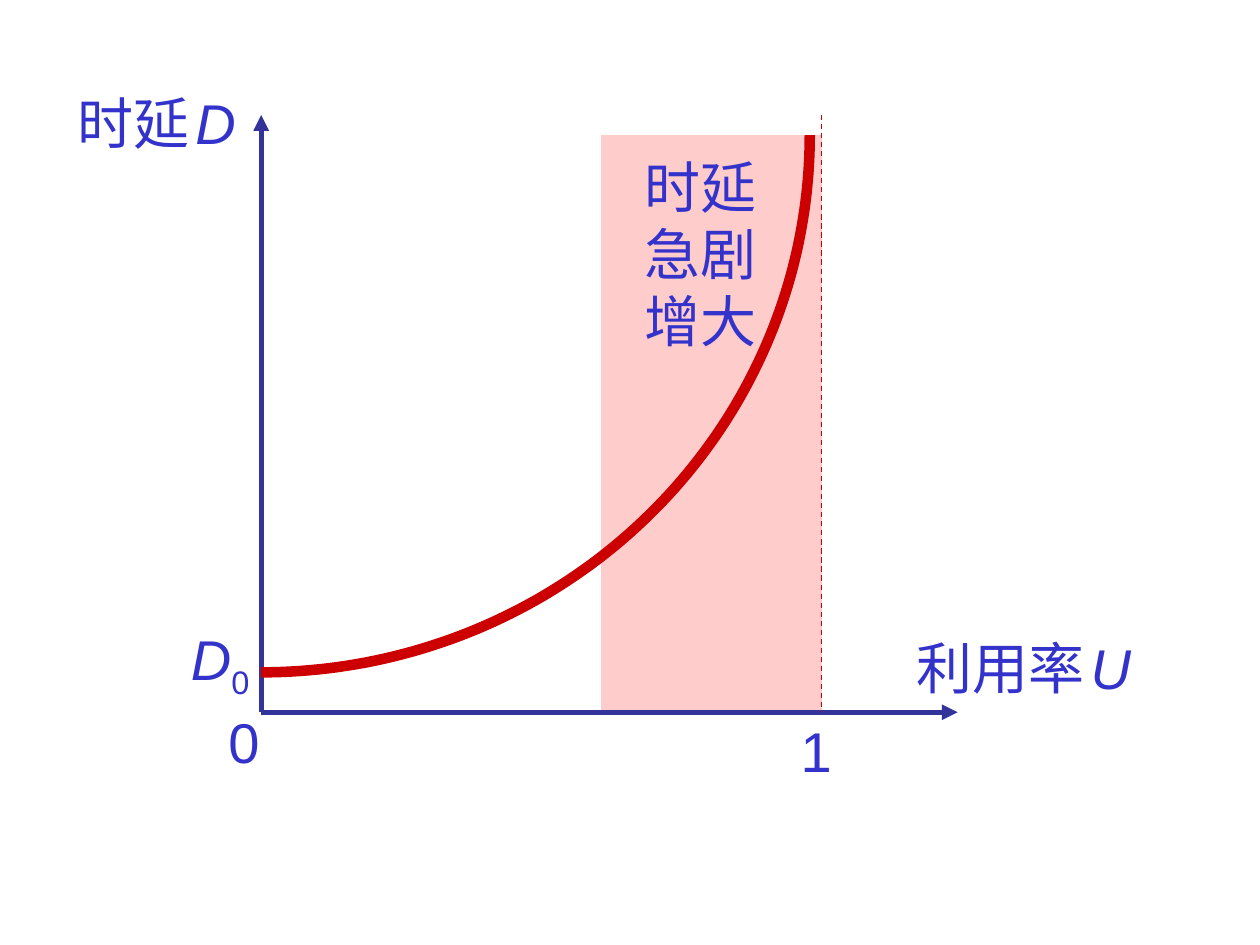
from dataclasses import dataclass
from math import cos, pi, sin

from lxml.etree import SubElement
from pptx import Presentation
from pptx.dml.color import RGBColor
from pptx.enum.dml import MSO_LINE
from pptx.enum.shapes import MSO_CONNECTOR, MSO_SHAPE
from pptx.enum.text import MSO_AUTO_SIZE
from pptx.oxml.ns import qn
from pptx.util import Pt

TEXT_COLOR, AXIS_COLOR, CURVE_COLOR, BAND_COLOR = "3333CC", "333399", "CC0000", "FFCCCC"

# Plot geometry in points
ORIGIN_X, ORIGIN_Y = 149.25, 407
AXIS_TOP, AXIS_RIGHT = 65.75, 547.25
FULL_LOAD_X = 469.6
BAND_LEFT, BAND_TOP = 343.5, 77.25
CURVE_RIGHT, CURVE_BOTTOM = 462.75, 384.25
CURVE_STEPS = 90


@dataclass
class Piece:
    text: str
    size: float = 32
    italic: bool = False
    baseline: int = 0


@dataclass
class Label:
    left: float
    top: float
    width: float
    height: float
    paragraphs: list[list[Piece]]


@dataclass
class Line:
    start: tuple[float, float]
    end: tuple[float, float]
    color: str
    width: float
    arrow: bool = False


LINES = [
    Line((ORIGIN_X, ORIGIN_Y), (ORIGIN_X, AXIS_TOP), AXIS_COLOR, 3, arrow=True),
    Line((ORIGIN_X, ORIGIN_Y), (AXIS_RIGHT, ORIGIN_Y), AXIS_COLOR, 3, arrow=True),
    Line((FULL_LOAD_X, AXIS_TOP), (FULL_LOAD_X, ORIGIN_Y), CURVE_COLOR, 0.74),
]

LABELS = [
    Label(37, 47, 114, 46, [[Piece("时延"), Piece(" ", 16), Piece("D", italic=True)]]),
    Label(516.5, 358.5, 146, 46, [[Piece("利用率"), Piece(" ", 16), Piece("U", italic=True)]]),
    Label(450.5, 406, 33, 46, [[Piece("1")]]),
    Label(123.5, 400.5, 33, 46, [[Piece("0")]]),
    Label(102, 353.5, 54, 51, [[Piece("D", italic=True), Piece("0", baseline=-25000)]]),
    Label(361, 83.5, 80, 122.5, [[Piece(text)] for text in ("时延", "急剧", "增大")]),
]


def rgb(color: str) -> RGBColor:
    return RGBColor.from_string(color)


def add_band(slide) -> None:
    band = slide.shapes.add_shape(
        MSO_SHAPE.RECTANGLE, Pt(BAND_LEFT), Pt(BAND_TOP),
        Pt(FULL_LOAD_X - BAND_LEFT), Pt(ORIGIN_Y - BAND_TOP))
    band.shadow.inherit = False
    band.fill.solid()
    band.fill.fore_color.rgb = rgb(BAND_COLOR)
    band.line.fill.background()


def add_line(slide, line: Line) -> None:
    connector = slide.shapes.add_connector(
        MSO_CONNECTOR.STRAIGHT, *(Pt(value) for value in line.start + line.end))
    connector.line.color.rgb = rgb(line.color)
    connector.line.width = Pt(line.width)
    if line.arrow:
        SubElement(connector.line._get_or_add_ln(), qn("a:tailEnd"), type="triangle")
    else:
        connector.line.dash_style = MSO_LINE.DASH
    SubElement(connector._element.spPr, qn("a:effectLst"))


def add_curve(slide) -> None:
    """Draw a quarter ellipse from the delay axis up to the top of the band."""
    angles = [pi / 2 * (1 - step / CURVE_STEPS) for step in range(CURVE_STEPS + 1)]
    points = [(Pt(ORIGIN_X + (CURVE_RIGHT - ORIGIN_X) * cos(angle)),
               Pt(BAND_TOP + (CURVE_BOTTOM - BAND_TOP) * sin(angle))) for angle in angles]
    builder = slide.shapes.build_freeform(*points[0])
    builder.add_line_segments(points[1:], close=False)
    curve = builder.convert_to_shape()
    curve.shadow.inherit = False
    curve.fill.background()
    curve.line.color.rgb = rgb(CURVE_COLOR)
    curve.line.width = Pt(6)


def add_label(slide, label: Label) -> None:
    box = slide.shapes.add_textbox(
        Pt(label.left), Pt(label.top), Pt(label.width), Pt(label.height))
    frame = box.text_frame
    frame.word_wrap = False
    frame.auto_size = MSO_AUTO_SIZE.NONE
    frame.text = "\n".join(
        "".join(piece.text for piece in pieces[:1]) for pieces in label.paragraphs)
    for paragraph, pieces in zip(frame.paragraphs, label.paragraphs):
        for piece in pieces[1:]:
            paragraph.add_run().text = piece.text
        for run, piece in zip(paragraph.runs, pieces):
            run.font.name = "Arial"
            run.font.size = Pt(piece.size)
            run.font.italic = piece.italic
            run.font.color.rgb = rgb(TEXT_COLOR)
            if piece.baseline:
                run._r.get_or_add_rPr().set("baseline", str(piece.baseline))


presentation = Presentation()
presentation.slide_width, presentation.slide_height = Pt(720), Pt(540)
slide = presentation.slides.add_slide(presentation.slide_layouts[6])

# Shaded high-load band, axes, limit line and delay curve
add_band(slide)
for line in LINES:
    add_line(slide, line)
add_curve(slide)

# Axis names, tick values and band caption
for label in LABELS:
    add_label(slide, label)

presentation.save("out.pptx")
